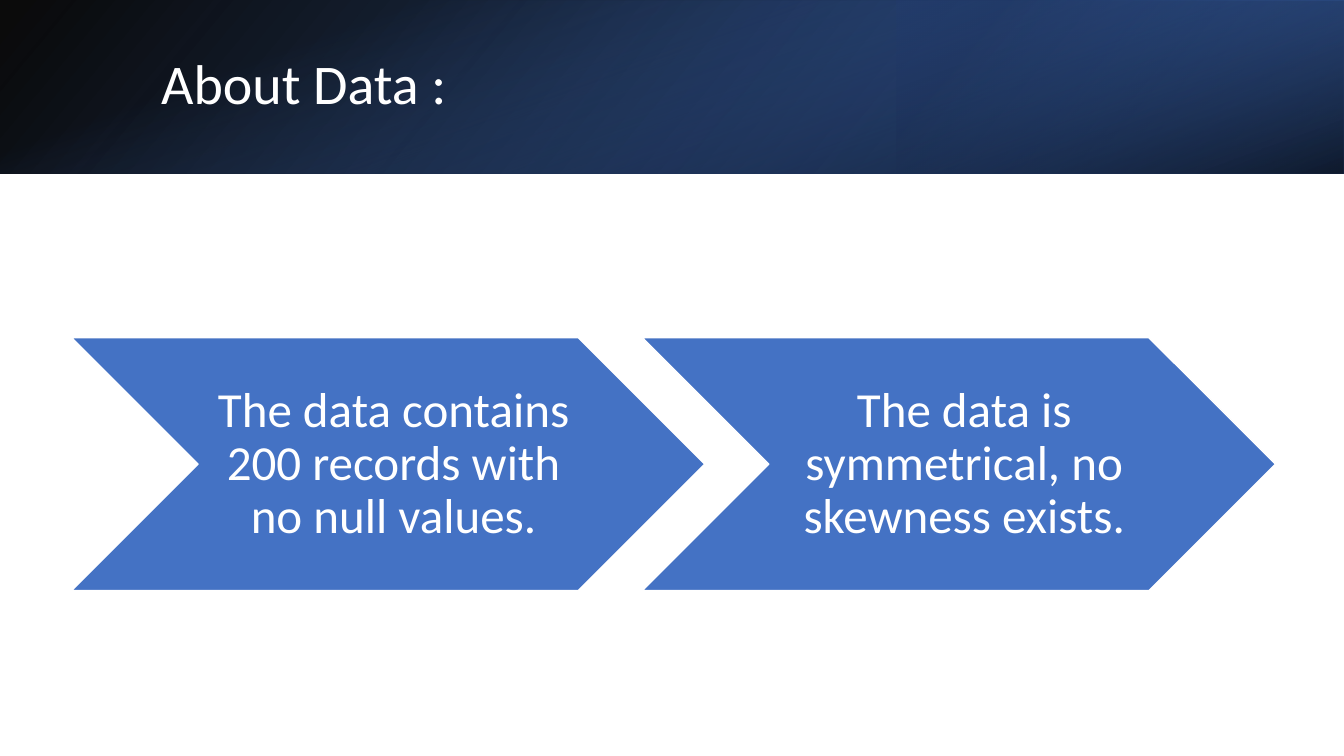
from lxml import etree
from pptx import Presentation
from pptx.dml.color import RGBColor
from pptx.enum import shapes, text
from pptx.oxml import ns
from pptx.util import Inches, Pt

WHITE, BLUE, BLACK, NAVY = "FFFFFF", "4472C4", "000000", "203864"


def color(code):
    return RGBColor.from_string(code)


def write(box, words, size):
    frame = box.text_frame
    frame.word_wrap = True
    frame.vertical_anchor = text.MSO_ANCHOR.MIDDLE
    frame.text = words
    para = frame.paragraphs[0]
    para.line_spacing = 0.9
    font = para.runs[0].font
    font.name, font.size = "Calibri", Pt(size)
    font.color.rgb = color(WHITE)
    return frame


deck = Presentation()
deck.slide_width, deck.slide_height = Inches(13.33), Inches(7.5)
slide = deck.slides.add_slide(deck.slide_layouts[6])
parts = slide.shapes

# Header band: three translucent gradients, stops are (position, colour, opacity)
bands = [
    ((0, 0, 13.33, 1.72), 0, True, 140, [(0, BLACK, 96), (100, "2F5597", 100)]),
    ((8.89, 0, 4.44, 1.72), 180, True, 320, [(19, NAVY, 68), (100, BLUE, 79)]),
    ((5.8, -5.8, 1.72, 13.33), 90, False, 340, [(23, BLUE, 0), (99, BLACK, 74)]),
]
for place, turn, flip, angle, stops in bands:
    band = parts.add_shape(shapes.MSO_SHAPE.RECTANGLE, *map(Inches, place))
    band.shadow.inherit = False
    band.line.fill.background()
    band.rotation = turn
    props = band._element.spPr
    if flip:
        props.find(ns.qn("a:xfrm")).set("flipH", "1")
    grad = etree.Element(ns.qn("a:gradFill"), rotWithShape="1")
    marks = etree.SubElement(grad, ns.qn("a:gsLst"))
    for pos, code, alpha in stops:
        mark = etree.SubElement(marks, ns.qn("a:gs"), pos=str(pos * 1000))
        tint = etree.SubElement(mark, ns.qn("a:srgbClr"), val=code)
        etree.SubElement(tint, ns.qn("a:alpha"), val=str(alpha * 1000))
    etree.SubElement(grad, ns.qn("a:lin"), ang=str(angle * 60000), scaled="0")
    props.find(ns.qn("a:prstGeom")).addnext(grad)

# Title
title = parts.add_textbox(Inches(1.5), Inches(0.38), Inches(10.98), Inches(0.96))
write(title, "About Data :", 40)

# Chevrons, each with its text box
facts = [
    "The data contains 200 records with no null values.",
    "The data is symmetrical, no skewness exists.",
]
top, wide, high = Inches(3.35), Inches(6.28), Inches(2.51)
for i, fact in enumerate(facts):
    left = Inches(0.71 + i * 5.66)
    arrow = parts.add_shape(shapes.MSO_SHAPE.CHEVRON, left, top, wide, high)
    arrow.shadow.inherit = False
    arrow.fill.solid()
    arrow.fill.fore_color.rgb = color(BLUE)
    arrow.line.color.rgb = color(WHITE)
    arrow.line.width = Pt(1)

    label = parts.add_textbox(left + Inches(1.26), top, Inches(3.77), high)
    frame = write(label, fact, 35)
    frame.margin_left, frame.margin_right = Inches(0.15), Inches(0.05)
    frame.paragraphs[0].alignment = text.PP_ALIGN.CENTER

deck.save("out.pptx")
